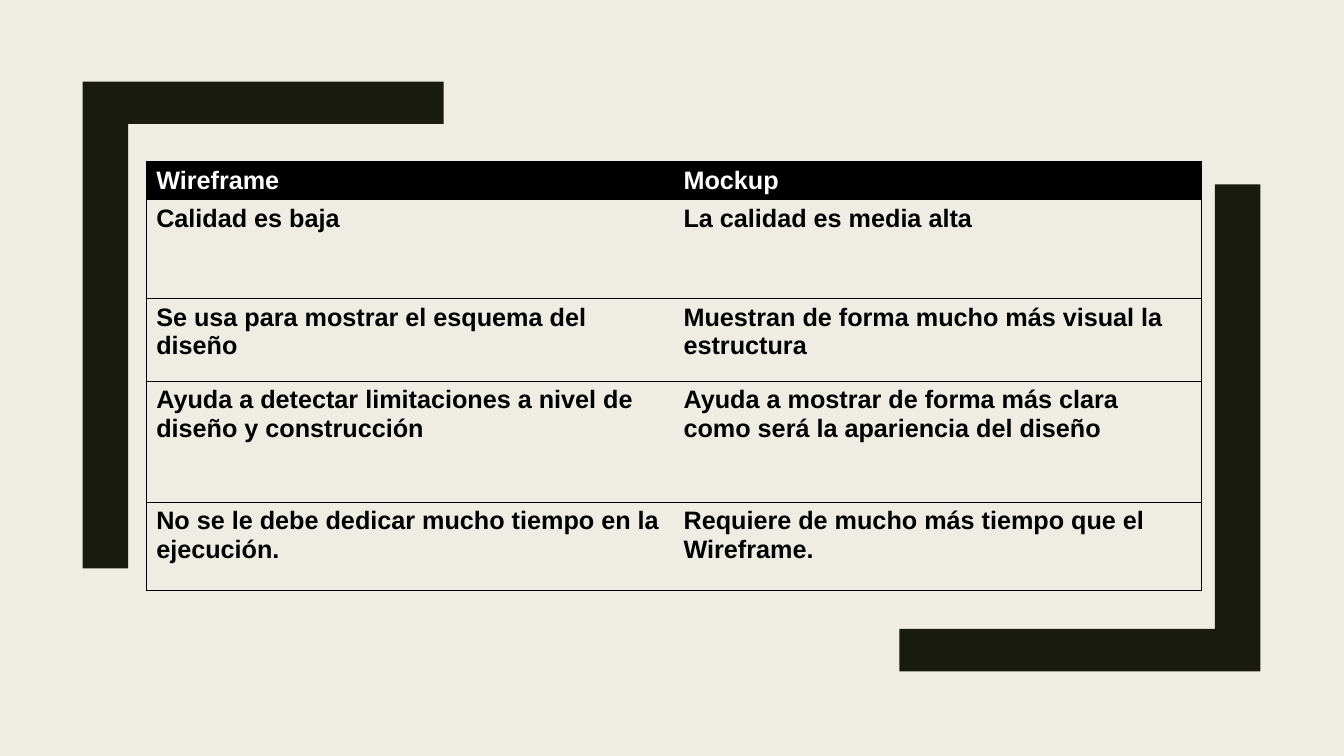
from lxml import etree
from pptx import Presentation
from pptx.dml.color import RGBColor
from pptx.oxml import ns
from pptx.util import Inches, Pt

INK, DARK, PAPER, WHITE = "000000", "191B0E", "EFEDE3", "FFFFFF"
PLAIN = "{2D5ABB26-0587-4C30-8999-92F81FD0307C}"
ROWS = [
    ("Wireframe", "Mockup"),
    ("Calidad es baja", "La calidad es media alta"),
    ("Se usa para mostrar el esquema del diseño",
     "Muestran de forma mucho más visual la estructura"),
    ("Ayuda a detectar limitaciones a nivel de diseño y construcción",
     "Ayuda a mostrar de forma más clara como será la apariencia del diseño"),
    ("No se le debe dedicar mucho tiempo en la ejecución.",
     "Requiere de mucho más tiempo que el Wireframe."),
]
HEIGHTS = [0.36, 0.98, 0.82, 1.2, 0.88]
CORNER = [(1.27, 5.64), (0.82, 5.64), (0.82, 0.81),
          (4.4, 0.81), (4.4, 1.23), (1.27, 1.23)]


def paint(fill, color):
    fill.solid()
    fill.fore_color.rgb = RGBColor.from_string(color)


def add_bracket(slide, points):
    spots = [(Inches(x), Inches(y)) for x, y in points]
    pen = slide.shapes.build_freeform(*spots[0])
    pen.add_line_segments(spots[1:], close=True)
    shape = pen.convert_to_shape()
    shape.shadow.inherit = False
    paint(shape.fill, DARK)
    shape.line.fill.background()


def add_edge(cell, side):
    props = cell._tc.get_or_add_tcPr()
    line = etree.SubElement(props, ns.qn("a:ln" + side), w=str(Pt(0.5)))
    fill = etree.SubElement(line, ns.qn("a:solidFill"))
    etree.SubElement(fill, ns.qn("a:srgbClr"), val=INK)


def fill_cell(cell, words, head, side):
    cell.text = words
    font = cell.text_frame.paragraphs[0].font
    font.name, font.size, font.bold = "Arial", Pt(18), True
    font.color.rgb = RGBColor.from_string(WHITE if head else INK)
    for edge in (side, "T", "B"):
        add_edge(cell, edge)
    if head:
        paint(cell.fill, INK)
    else:
        cell.fill.background()


def add_grid(slide):
    frame = slide.shapes.add_table(
        len(ROWS), 2, Inches(1.45), Inches(1.6), Inches(10.46), Inches(sum(HEIGHTS)))
    table = frame.table
    table.horz_banding = False
    table._tbl.tblPr.find(ns.qn("a:tableStyleId")).text = PLAIN
    for r, (pair, height) in enumerate(zip(ROWS, HEIGHTS)):
        table.rows[r].height = Inches(height)
        for c, words in enumerate(pair):
            fill_cell(table.cell(r, c), words, r == 0, "LR"[c])


def main():
    deck = Presentation()
    deck.slide_width, deck.slide_height = Inches(13.33), Inches(7.5)
    slide = deck.slides.add_slide(deck.slide_layouts[6])
    paint(slide.background.fill, PAPER)
    add_bracket(slide, [(13.32 - x, 7.47 - y) for x, y in CORNER])
    add_bracket(slide, CORNER)
    add_grid(slide)
    deck.save("out.pptx")


if __name__ == "__main__":
    main()
